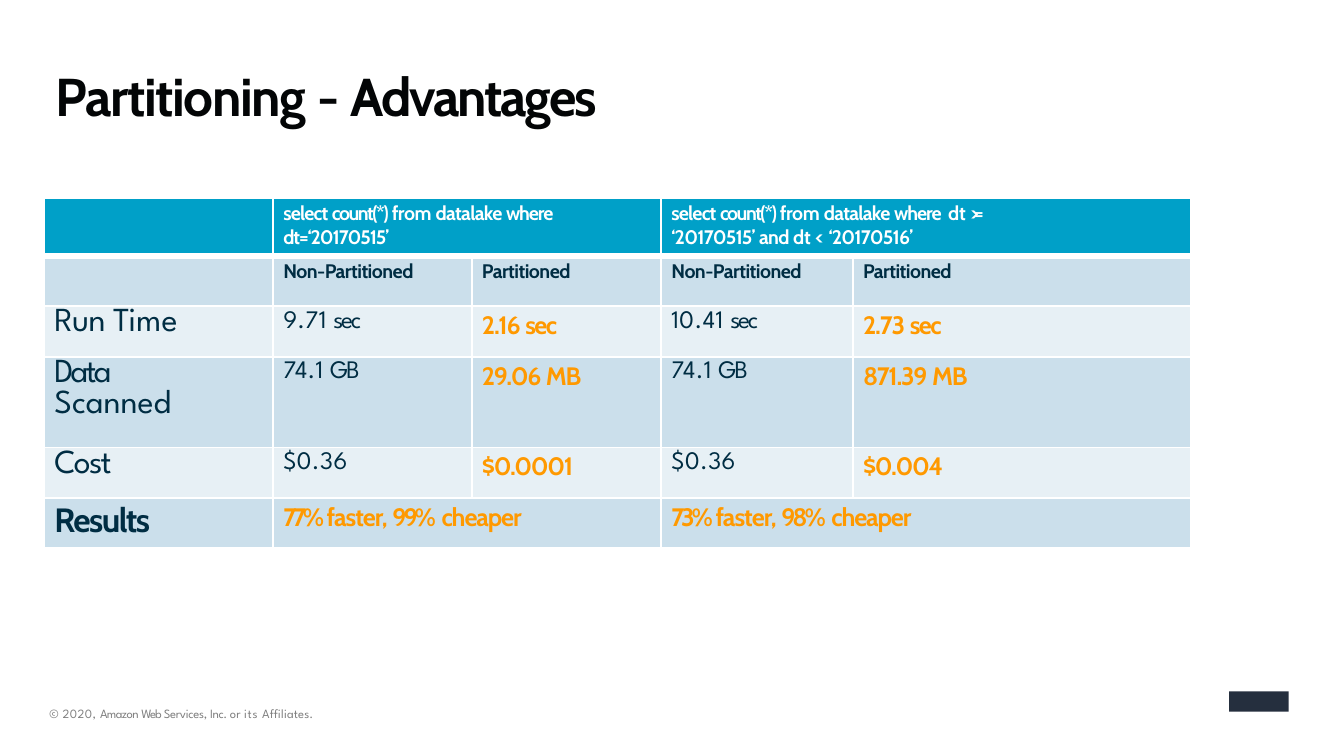
from lxml.etree import SubElement
from pptx import Presentation
from pptx.dml.color import RGBColor
from pptx.enum.shapes import MSO_SHAPE
from pptx.enum.text import MSO_ANCHOR, PP_ALIGN
from pptx.oxml.ns import qn
from pptx.util import Inches, Pt

WHITE = RGBColor(0xFF, 0xFF, 0xFF)
INK = RGBColor(0x03, 0x05, 0x06)
NAVY = RGBColor(0x00, 0x2D, 0x43)
SLATE = RGBColor(0x25, 0x2F, 0x3E)
ORANGE = RGBColor(0xFF, 0x99, 0x00)
GREY = RGBColor(0x7F, 0x7F, 0x7F)
HEADER_BLUE = RGBColor(0x00, 0xA0, 0xC8)
BANDS = [RGBColor(0xCB, 0xDF, 0xEB), RGBColor(0xE7, 0xF0, 0xF5)]

# Text style: font, size, bold, colour
STYLES = {
    "title": ("Cabin", 38, True, INK),
    "footer": ("League Spartan", 9, False, GREY),
    "query": ("Cabin", 14, True, WHITE),
    "subhead": ("Cabin", 14, True, NAVY),
    "label": ("League Spartan", 24, False, NAVY),
    "result": ("Cabin", 24, True, NAVY),
    "plain": ("League Spartan", 18, False, NAVY),
    "gain": ("Cabin", 18, True, ORANGE),
}

# Every run is its text and its letter spacing in points
TITLE = [("Partitioning ", -1), ("- ", -0.4), ("Advantages", -1.6)]
FOOTER = [("© ", 0.2), ("2020, ", 0.3), ("Amazon ", -0.4), ("Web ", -0.7),
          ("Services, ", -0.2), ("Inc. ", -0.3), ("or ", 0.1), ("its ", 0.5),
          ("Affiliates.", 0.1)]
SELECT = [("select ", -0.6), ("count(*) ", -1.1), ("from ", -0.3), ("datalake ", -0.5)]
ONE_DAY = SELECT + [("where dt=‘20170515’", -0.8)]
DAY_RANGE = SELECT + [("where", -0.8), (" ", 1.5), ("dt ", -0.2), (">= ", -3.3),
                      ("‘20170515’ ", -0.6), ("and ", -0.5), ("dt ", -0.2),
                      ("<", -3.3), (" ", 0.2), ("‘20170516’", -0.6)]
KINDS = [[("Non-Partitioned", -0.4)], [("Partitioned", -0.4)]]
ROWS = [
    [None, ONE_DAY, None, DAY_RANGE, None],
    [None] + KINDS * 2,
    [[("Run ", -0.5), ("Time", 0.1)],
     [("9.71 ", 0.2), ("sec", -1.6)], [("2.16 ", -0.8), ("sec", -1.1)],
     [("10.41 ", 0.3), ("sec", -1.6)], [("2.73 ", -0.8), ("sec", -1.1)]],
    [[("Data ", -2), ("Scanned", 0)],
     [("74.1 ", 0.2), ("GB", -1.3)], [("29.06 ", -0.9), ("MB", -0.8)],
     [("74.1 ", 0.2), ("GB", -1.3)], [("871.39 ", -0.9), ("MB", -0.8)]],
    [[("Cost", -1.2)], [("$0.36", 0.3)], [("$0.0001", -0.9)],
     [("$0.36", 0.3)], [("$0.004", -0.9)]],
    [[("Results", -1.1)],
     [("77% ", -2.2), ("faster, ", -0.7), ("99%", -2.2), (" ", 0), ("cheaper", -0.8)], None,
     [("73% ", -2.2), ("faster, ", -0.7), ("98%", -2.2), (" ", 0), ("cheaper", -0.8)], None],
]
DATA_STYLES = ["label", "plain", "gain", "plain", "gain"]
ROW_STYLES = [["query"] * 5, ["subhead"] * 5, DATA_STYLES, DATA_STYLES, DATA_STYLES,
              ["result"] + ["gain"] * 4]
COL_WIDTHS = [2.27, 1.97, 1.88, 1.9, 3.35]
ROW_HEIGHTS = [0.57, 0.5, 0.5, 0.9, 0.5, 0.5]
TOP_INSETS = {"query": 0.03, "label": 0.02, "result": 0.02}
WRAP_INSETS = {(0, 1): 0.6, (0, 3): 1.6, (3, 0): 0.6}  # right margins that wrap text


def write(tf, runs, style):
    font, size, bold, colour = STYLES[style]
    p = tf.paragraphs[0]
    p.alignment = PP_ALIGN.LEFT
    for text, spacing in runs:
        r = p.add_run()
        r.text = text
        r.font.name, r.font.size, r.font.bold = font, Pt(size), bold
        r.font.color.rgb = colour
        r.font._element.set("spc", str(round(spacing * 100)))
    return p


def frame(tf, left=0.01, top=0.01):
    tf.word_wrap = True
    tf.vertical_anchor = MSO_ANCHOR.TOP
    tf.margin_left, tf.margin_top = Inches(left), Inches(top)
    tf.margin_right = tf.margin_bottom = 0


def place(sp, left, top, width, height):
    sp.left, sp.top, sp.width, sp.height = map(Inches, (left, top, width, height))


def border(cell, row):
    """White edges, with a heavier rule under the header row."""
    tcPr = cell._tc.get_or_add_tcPr()
    heavy = {0: "lnB", 1: "lnT"}.get(row)
    for edge in ("lnL", "lnR", "lnT", "lnB"):
        ln = SubElement(tcPr, qn("a:" + edge), w=str(Pt(4.25 if edge == heavy else 1.5)))
        fill = SubElement(ln, qn("a:solidFill"))
        SubElement(fill, qn("a:srgbClr"), val=str(WHITE))


def add_comparison(s):
    gf = s.shapes.add_table(len(ROWS), len(COL_WIDTHS), Inches(0.44), Inches(1.97),
                            Inches(sum(COL_WIDTHS)), Inches(sum(ROW_HEIGHTS)))
    table = gf.table
    for col, width in zip(table.columns, COL_WIDTHS):
        col.width = Inches(width)
    for row, height in zip(table.rows, ROW_HEIGHTS):
        row.height = Inches(height)
    for i in (0, len(ROWS) - 1):
        for j in (1, 3):
            table.cell(i, j).merge(table.cell(i, j + 1))
    for i, row in enumerate(ROWS):
        for j, runs in enumerate(row):
            cell, style = table.cell(i, j), ROW_STYLES[i][j]
            border(cell, i)
            cell.fill.solid()
            cell.fill.fore_color.rgb = BANDS[(i + 1) % 2] if i else HEADER_BLUE
            cell.margin_left = Inches(0.1)
            cell.margin_top = Inches(TOP_INSETS.get(style, 0.04))
            cell.margin_right = Inches(WRAP_INSETS.get((i, j), 0))
            cell.margin_bottom = 0
            if runs:
                p = write(cell.text_frame, runs, style)
                if style == "query":
                    p.line_spacing = 1.01


def main():
    prs = Presentation()
    prs.slide_width, prs.slide_height = Inches(13.33), Inches(7.5)
    s = prs.slides.add_slide(prs.slide_layouts[5])
    title = s.shapes.title
    place(title, 0.54, 0.61, 6.4, 0.66)
    frame(title.text_frame, top=0.02)
    write(title.text_frame, TITLE, "title")
    add_comparison(s)
    footer = s.shapes.add_textbox(0, 0, 0, 0)
    place(footer, 0.48, 6.99, 3.02, 0.18)
    frame(footer.text_frame)
    write(footer.text_frame, FOOTER, "footer")
    badge = s.shapes.add_shape(MSO_SHAPE.RECTANGLE, 0, 0, 0, 0)
    place(badge, 12.19, 6.86, 0.59, 0.2)
    badge.shadow.inherit = False
    badge.fill.solid()
    badge.fill.fore_color.rgb = SLATE
    badge.line.fill.background()
    prs.save("out.pptx")


if __name__ == "__main__":
    main()
